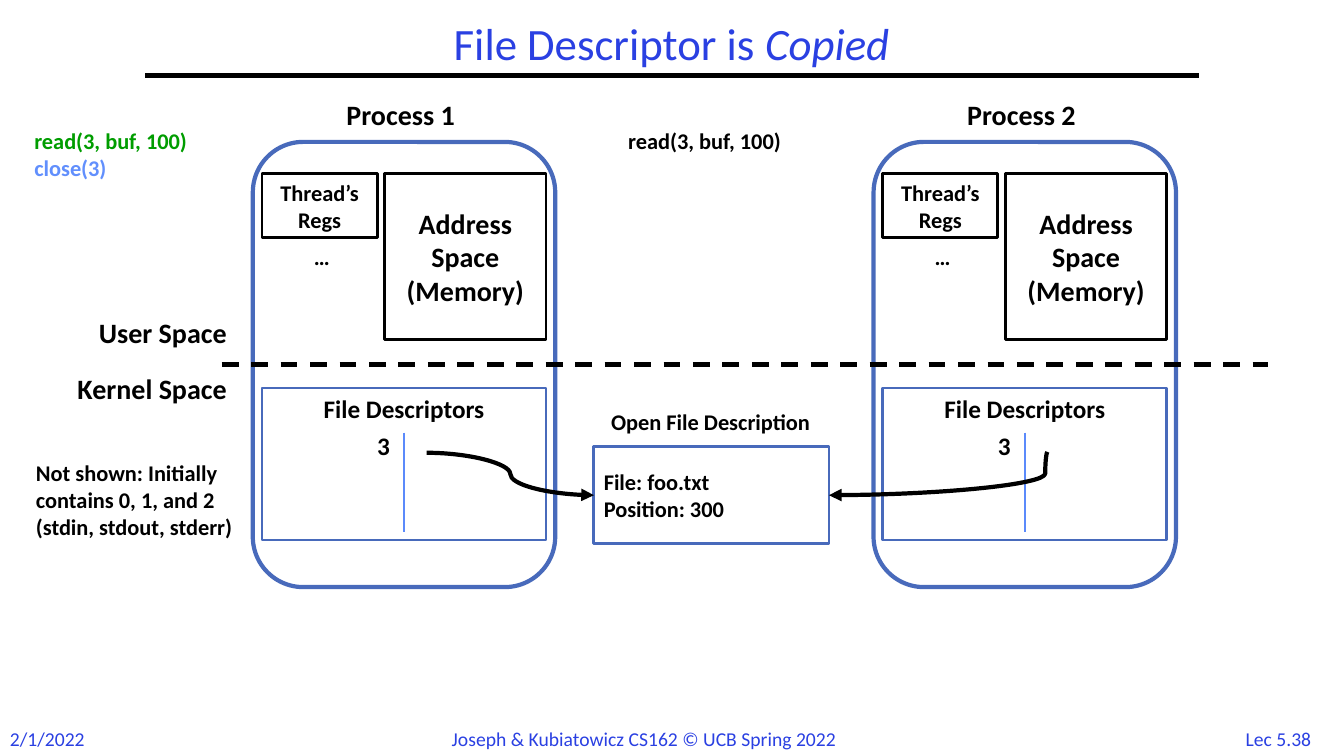
from dataclasses import dataclass

from lxml import etree
from pptx import Presentation
from pptx.dml.color import RGBColor
from pptx.enum.dml import MSO_LINE
from pptx.enum.shapes import MSO_CONNECTOR, MSO_SHAPE
from pptx.enum.text import MSO_ANCHOR, MSO_AUTO_SIZE, PP_ALIGN
from pptx.oxml.ns import qn
from pptx.util import Inches, Pt

LEFT, CENTER, RIGHT = PP_ALIGN.LEFT, PP_ALIGN.CENTER, PP_ALIGN.RIGHT
TOP, MIDDLE = MSO_ANCHOR.TOP, MSO_ANCHOR.MIDDLE
GROW = MSO_AUTO_SIZE.SHAPE_TO_FIT_TEXT
DASH = MSO_LINE.DASH
RECTANGLE, ROUNDED = MSO_SHAPE.RECTANGLE, MSO_SHAPE.ROUNDED_RECTANGLE
STRAIGHT, CURVE = MSO_CONNECTOR.STRAIGHT, MSO_CONNECTOR.CURVE
LEFT_SIDE, RIGHT_SIDE = 1, 3
TITLE_ONLY = 5
WIDTH, HEIGHT = Inches(13.33), Inches(7.5)
COLUMNS, ROWS = 160, 90
PROCESS_COLUMNS = (30.1, 104)
PROCESS_ROW = 16.9


@dataclass(frozen=True)
class Theme:
    """Font, colours and type sizes of the slide."""
    font: str = "Calibri"
    black: str = "000000"
    white: str = "FFFFFF"
    title: str = "2A40E2"
    frame: str = "486ABB"
    divider: str = "5B8AFB"
    read: str = "009D00"
    close: str = "618FFD"
    title_size: int = 32
    heading_size: int = 20
    table_size: int = 18
    label_size: int = 16
    footer_size: int = 14


THEME = Theme()


def across(columns):
    """Convert grid columns to a length."""
    return round(WIDTH * columns / COLUMNS)


def down(rows):
    """Convert grid rows to a length."""
    return round(HEIGHT * rows / ROWS)


def place(column, row, columns, rows):
    """Convert a grid cell range to left, top, width and height."""
    return across(column), down(row), across(columns), down(rows)


def write(paragraph, text, size=THEME.label_size, color=THEME.black,
          bold=True, italic=False, align=LEFT):
    """Add one formatted run to a paragraph."""
    paragraph.alignment = align
    run = paragraph.add_run()
    run.text = text
    run.font.name = THEME.font
    run.font.size = Pt(size)
    run.font.bold = bold
    run.font.italic = italic
    run.font.color.rgb = RGBColor.from_string(color)


def add_label(slide, cell, text, wrap=False, **text_format):
    """Add a text box and return its text frame."""
    frame = slide.shapes.add_textbox(*place(*cell)).text_frame
    frame.word_wrap = wrap
    frame.auto_size = GROW
    write(frame.paragraphs[0], text, **text_format)
    return frame


def add_box(slide, cell, lines=(), kind=RECTANGLE, color=THEME.black,
            weight=2, fill=THEME.white, anchor=MIDDLE, **text_format):
    """Add an outlined shape holding one paragraph for each line."""
    shape = slide.shapes.add_shape(kind, *place(*cell))
    shape.shadow.inherit = False
    shape.line.color.rgb = RGBColor.from_string(color)
    shape.line.width = Pt(weight)
    if fill:
        shape.fill.solid()
        shape.fill.fore_color.rgb = RGBColor.from_string(fill)
    else:
        shape.fill.background()
    frame = shape.text_frame
    frame.word_wrap = True
    frame.vertical_anchor = anchor
    for index, line in enumerate(lines):
        paragraph = frame.add_paragraph() if index else frame.paragraphs[0]
        write(paragraph, line, **text_format)
    return shape


def add_line(slide, start, end, kind=STRAIGHT, color=THEME.black, weight=3,
             dash=None):
    """Add a connector between two grid points."""
    line = slide.shapes.add_connector(
        kind, across(start[0]), down(start[1]), across(end[0]), down(end[1]))
    line.line.color.rgb = RGBColor.from_string(color)
    line.line.width = Pt(weight)
    if dash:
        line.line.dash_style = dash
    etree.SubElement(line._element.spPr, qn("a:effectLst"))
    return line


def add_curved_arrow(slide, start, end, target, side, bend=50000):
    """Add a curved arrow that is joined to one side of a box."""
    arrow = add_line(slide, start, end, kind=CURVE)
    arrow.end_connect(target, side)
    etree.SubElement(arrow.line._get_or_add_ln(), qn("a:tailEnd"), type="triangle")
    geometry = arrow._element.spPr.find(qn("a:prstGeom"))
    adjustments = geometry.find(qn("a:avLst"))
    etree.SubElement(adjustments, qn("a:gd"), name="adj1", fmla=f"val {bend}")


def add_title(slide):
    """Fill the title placeholder and draw the rule below it."""
    title = slide.shapes.title
    title.left, title.top, title.width, title.height = place(17.3, 2, 125.3, 7)
    frame = title.text_frame
    frame.word_wrap = True
    frame.vertical_anchor = MIDDLE
    paragraph = frame.paragraphs[0]
    paragraph.line_spacing = 0.9
    for text, italic in (("File Descriptor is ", False), ("Copied", True)):
        write(paragraph, text, size=THEME.title_size, color=THEME.title,
              bold=False, italic=italic, align=CENTER)
    add_line(slide, (17.3, 9), (142.7, 9))


def add_footer(slide):
    """Add the date, the course and the lecture number."""
    footers = (
        (0, 11.5, "2/1/2022", LEFT),
        (52.6, 54.6, "Joseph & Kubiatowicz CS162 © UCB Spring 2022", LEFT),
        (146.4, 11.6, "Lec 5.38", CENTER),
    )
    for column, columns, text, align in footers:
        add_label(slide, (column, 85.9, columns, 4), text, bold=False,
                  size=THEME.footer_size, color=THEME.title, align=align)


def add_process(slide, name, column, row):
    """Add one process with its memory, registers and descriptor table."""
    add_box(slide, (column, row, 36, 53), kind=ROUNDED, color=THEME.frame,
            weight=3, fill=None)
    add_label(slide, (column + 8.4, row - 5.9, 18.4, 5.3), name,
              size=THEME.heading_size, align=CENTER)
    add_box(slide, (column + 15.7, row + 3.8, 19.2, 19.7),
            ["Address Space (Memory)"], size=THEME.heading_size, align=CENTER)
    add_box(slide, (column + 1.1, row + 3.8, 13.7, 7.6), ["Thread’s Regs"],
            align=CENTER)
    add_label(slide, (column + 6.1, row + 11.4, 5.2, 4.4), "…")
    add_box(slide, (column + 1.1, row + 29.3, 33.8, 18.1),
            ["File Descriptors"], color=THEME.frame, anchor=TOP,
            size=THEME.table_size, align=CENTER)
    add_line(slide, (column + 18, row + 34.6), (column + 18, row + 46.4),
             color=THEME.divider, weight=1.5)
    add_label(slide, (column + 13.4, row + 33.7, 4.1, 4.8), "3",
              size=THEME.table_size, align=RIGHT)


def add_spaces(slide):
    """Divide user space from kernel space."""
    add_line(slide, (26.4, 43.4), (150.9, 43.4), dash=DASH)
    for row, text in ((37, "User Space"), (43.6, "Kernel Space")):
        add_label(slide, (4.4, row, 23.8, 5.3), text,
                  size=THEME.heading_size, align=RIGHT)


def add_open_file(slide):
    """Add the shared file description and the arrows that reach it."""
    add_label(slide, (69.5, 48, 30.2, 4.4), "Open File Description", align=CENTER)
    open_file = add_box(slide, (70.7, 53.2, 28, 11.5),
                        ["File: foo.txt", "Position: 300"], color=THEME.frame)
    add_curved_arrow(slide, (50.8, 53.9), (70.7, 58.9), open_file, LEFT_SIDE)
    add_curved_arrow(slide, (124.7, 53.8), (98.7, 58.9), open_file, RIGHT_SIDE,
                     bend=1000)


def add_calls(slide):
    """Add the system calls of both processes and the side note."""
    calls = add_label(slide, (2.9, 14.6, 23.2, 7.7), "read(3, buf, 100)",
                      color=THEME.read)
    write(calls.add_paragraph(), "close(3)", color=THEME.close)
    add_label(slide, (73.6, 14.6, 23.2, 4.4), "read(3, buf, 100)")
    add_label(slide, (3.1, 54.1, 26.5, 14.2),
              "Not shown: Initially contains 0, 1, and 2 (stdin, stdout, stderr)",
              wrap=True)


def main():
    """Build and save the slide."""
    presentation = Presentation()
    presentation.slide_width, presentation.slide_height = WIDTH, HEIGHT
    slide = presentation.slides.add_slide(presentation.slide_layouts[TITLE_ONLY])
    add_title(slide)
    add_footer(slide)
    for number, column in enumerate(PROCESS_COLUMNS, start=1):
        add_process(slide, f"Process {number}", column, PROCESS_ROW)
    add_spaces(slide)
    add_open_file(slide)
    add_calls(slide)
    presentation.save("out.pptx")


if __name__ == "__main__":
    main()
